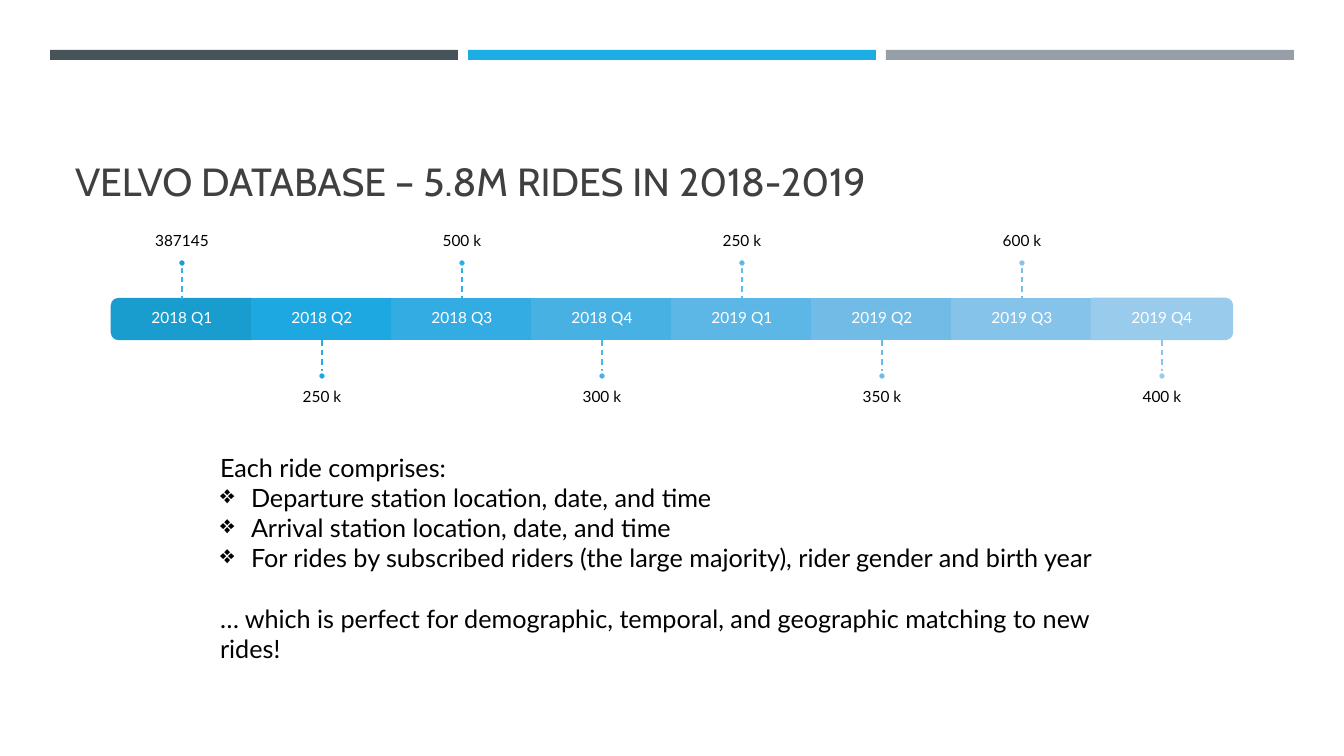
from lxml.etree import SubElement
from pptx import Presentation
from pptx.dml.color import RGBColor
from pptx.enum.dml import MSO_LINE
from pptx.enum.shapes import MSO_CONNECTOR, MSO_SHAPE
from pptx.enum.text import MSO_ANCHOR, PP_ALIGN
from pptx.oxml.ns import qn
from pptx.util import Emu, Pt

COLORS = {
    "slate": "465359", "blue": "1CADE4", "gray": "969FA7",
    "title": "404040", "black": "000000", "white": "FFFFFF",
}
# quarter, rides, block colour, tick colour
QUARTERS = [
    ("2018 Q1", "387145", "199DCF", "36B3E9"),
    ("2018 Q2", "250 k", "1EA8E1", "24ABE3"),
    ("2018 Q3", "500 k", "33ACE3", "35AEE3"),
    ("2018 Q4", "300 k", "48B1E4", "48B8EC"),
    ("2019 Q1", "250 k", "5CB6E6", "5ABEEF"),
    ("2019 Q2", "350 k", "71BCE7", "67BAE7"),
    ("2019 Q3", "600 k", "85C3EA", "77BFE9"),
    ("2019 Q4", "400 k", "99CBEC", "88C5EA"),
]
RIDE_FIELDS = [
    "Departure station location, date, and time",
    "Arrival station location, date, and time",
    "For rides by subscribed riders (the large majority), rider gender and birth year",
]
FIRST_CENTER, BLOCK_W, BLOCK_H, BLOCK_TOP = 182, 140, 40, 299
TICK, DOT = 32, 8
VALUE_W, VALUE_H = 234, 140


def px(length):
    return Emu(round(length * 12192000 / 1344))


def rgb(color):
    return RGBColor.from_string(COLORS.get(color, color))


class RideSlide:
    body_font = "Lato"
    title_font = "Cabin"

    def __init__(self, prs):
        self.slide = prs.slides.add_slide(prs.slide_layouts[6])
        self.shapes = self.slide.shapes

    def block(self, kind, left, top, width, height, fill, line=None, rotation=0):
        shape = self.shapes.add_shape(kind, px(left), px(top), px(width), px(height))
        shape.shadow.inherit = False
        shape.rotation = rotation
        shape.fill.solid()
        shape.fill.fore_color.rgb = rgb(fill)
        if line:
            shape.line.color.rgb = rgb(line)
            shape.line.width = Pt(1.75)
        else:
            shape.line.fill.background()

    def tick(self, x, top, bottom, color):
        tick = self.shapes.add_connector(
            MSO_CONNECTOR.STRAIGHT, px(x), px(top), px(x), px(bottom))
        tick.line.color.rgb = rgb(color)
        tick.line.width = Pt(1)
        tick.line.dash_style = MSO_LINE.DASH
        SubElement(tick._element.spPr, qn("a:effectLst"))

    def frame(self, left, top, width, height, anchor, insets=(10, 5, 10, 5)):
        """Add a wrapping text box and return its text frame."""
        frame = self.shapes.add_textbox(
            px(left), px(top), px(width), px(height)).text_frame
        frame.word_wrap = True
        frame.vertical_anchor = anchor
        (frame.margin_left, frame.margin_top,
         frame.margin_right, frame.margin_bottom) = map(px, insets)
        return frame

    def set_text(self, paragraph, text, size, color="black", font=body_font):
        paragraph.text = text
        paragraph.font.size = Pt(size)
        paragraph.font.name = font
        paragraph.font.color.rgb = rgb(color)

    def label(self, text, center, top, width, height, anchor, insets, color):
        frame = self.frame(center - width // 2, top, width, height, anchor, insets)
        caption = frame.paragraphs[0]
        self.set_text(caption, text, 11, color)
        caption.alignment = PP_ALIGN.CENTER
        caption.line_spacing = 0.9

    def bullet(self, paragraph):
        props = paragraph._p.get_or_add_pPr()
        props.set("marL", str(px(31)))
        props.set("indent", str(-px(31)))
        mark = SubElement(props, qn("a:buChar"), char="❖")
        props.remove(mark)
        props.insert(0, mark)

    def quarter(self, index, name, rides, fill, tick_color):
        center = FIRST_CENTER + index * BLOCK_W
        block_bottom = BLOCK_TOP + BLOCK_H
        rotation = {0: 270, len(QUARTERS) - 1: 90}.get(index, 0)
        kind, width, height = MSO_SHAPE.RECTANGLE, BLOCK_W, BLOCK_H
        if rotation:
            kind, width, height = MSO_SHAPE.ROUND_2_SAME_RECTANGLE, BLOCK_H, BLOCK_W
        self.block(kind, center - width // 2, BLOCK_TOP + (BLOCK_H - height) // 2,
                   width, height, fill, fill, rotation)
        self.label(name, center, BLOCK_TOP, BLOCK_W, BLOCK_H,
                   MSO_ANCHOR.MIDDLE, (9, 9, 9, 9), "white")

        if index % 2 == 0:
            tick_top = BLOCK_TOP - TICK
            dot_top = tick_top - DOT
            value_top, anchor, insets = dot_top - VALUE_H, MSO_ANCHOR.BOTTOM, (0, 0, 0, 9)
        else:
            tick_top = block_bottom + 1
            dot_top = tick_top + TICK
            value_top, anchor, insets = dot_top + DOT, MSO_ANCHOR.TOP, (0, 9, 0, 0)
        self.label(rides, center, value_top, VALUE_W, VALUE_H, anchor, insets, "black")
        self.tick(center, tick_top, tick_top + TICK, tick_color)
        self.block(MSO_SHAPE.OVAL, center - DOT // 2, dot_top, DOT, DOT, fill, "white")

    def title(self, text):
        frame = self.frame(65, 78, 1216, 131, MSO_ANCHOR.BOTTOM)
        self.set_text(frame.paragraphs[0], text, 28, "title", self.title_font)

    def ride_contents(self, intro, fields, conclusion):
        frame = self.frame(210, 447, 924, 254, MSO_ANCHOR.TOP)
        self.set_text(frame.paragraphs[0], intro, 18)
        for field in fields:
            item = frame.add_paragraph()
            self.set_text(item, field, 18)
            self.bullet(item)
        closing = frame.add_paragraph()
        self.set_text(closing, conclusion, 18)
        closing.space_before = Pt(21.6)


def main():
    prs = Presentation()
    prs.slide_width, prs.slide_height = px(1344), px(756)
    page = RideSlide(prs)
    for index, color in enumerate(("slate", "blue", "gray")):
        page.block(MSO_SHAPE.RECTANGLE, 50 + 418 * index, 50, 408, 10, color)
    for index, quarter in enumerate(QUARTERS):
        page.quarter(index, *quarter)
    page.title("VELVO DATABASE – 5.8M RIDES IN 2018-2019")
    page.ride_contents(
        "Each ride comprises:", RIDE_FIELDS,
        "… which is perfect for demographic, temporal, and geographic matching to new rides!")
    prs.save("out.pptx")


if __name__ == "__main__":
    main()
